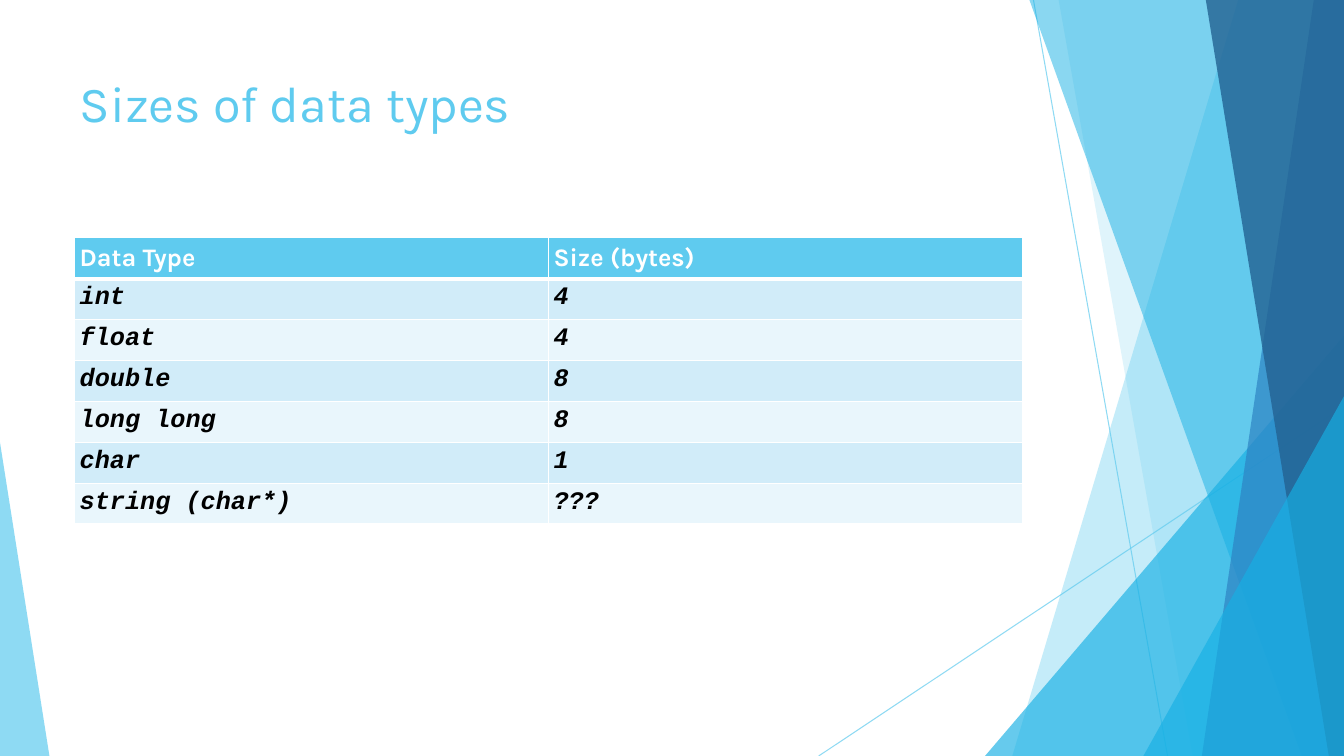
from lxml import etree
from pptx import Presentation
from pptx import util as u
from pptx.dml.color import RGBColor
from pptx.enum import shapes, text
from pptx.oxml import ns

WIDTH, HEIGHT = 13.33, 7.5
SKY, AZURE, BLUE, NAVY, WHITE = "5FCBEF", "17B0E4", "2E83C3", "236292", "FFFFFF"
BANDS = ("D1ECF9", "E9F6FC")
DATA_TYPES = [
    ("Data Type", "Size (bytes)"),
    ("int", "4"),
    ("float", "4"),
    ("double", "8"),
    ("long long", "8"),
    ("char", "1"),
    ("string (char*)", "???"),
]


def rgb(color):
    return RGBColor.from_string(color)


def add_element(parent, tag, **attributes):
    return etree.SubElement(parent, ns.qn(tag), attributes)


def set_opacity(sp, percent):
    """Apply an opacity to the fill or line colour of a shape."""
    color = next(sp._element.spPr.iter(ns.qn("a:srgbClr")))
    add_element(color, "a:alpha", val=str(percent * 1000))


def set_insets(target):
    target.margin_left = target.margin_right = u.Inches(0.05)
    target.margin_top = target.margin_bottom = u.Inches(0.05)


def style_text(tf, size, font, color, bold=False, italic=False):
    for p in tf.paragraphs:
        for r in p.runs:
            r.font.size, r.font.name = u.Pt(size), font
            r.font.bold, r.font.italic = bold, italic
            r.font.color.rgb = rgb(color)


def add_facet(slide, points, color, opacity):
    points = [(u.Inches(x), u.Inches(y)) for x, y in points]
    builder = slide.shapes.build_freeform(*points[0])
    builder.add_line_segments(points[1:], close=True)
    sp = builder.convert_to_shape()
    sp.shadow.inherit = False
    sp.fill.solid()
    sp.fill.fore_color.rgb = rgb(color)
    sp.line.fill.background()
    set_opacity(sp, opacity)


def add_thin_line(slide, start, end):
    ends = [u.Inches(value) for value in (*start, *end)]
    line = slide.shapes.add_connector(shapes.MSO_CONNECTOR.STRAIGHT, *ends)
    line.line.color.rgb = rgb(SKY)
    line.line.width = u.Pt(0.75)
    set_opacity(line, 70)
    add_element(line._element.spPr, "a:effectLst")


def add_backdrop(slide, left, top, width, height):
    """Draw translucent facets along the right edge and one at lower left."""
    right, bottom = left + width, top + height
    add_thin_line(slide, (right - 3.08, top), (right - 1.75, bottom))
    add_thin_line(slide, (right, top + 4.03), (right - 5.21, bottom))

    # Distance from the right edge and top, bottom distance, colour, opacity
    facets = [
        (1.05, 0, 3.29, SKY, 36),
        (2.83, 0, 1.5, SKY, 20),
        (0, 3.33, 3.56, AZURE, 66),
        (3.12, 0, 0.42, AZURE, 50),
        (0.3, 0, 1.41, BLUE, 70),
        (1.37, 0, 0.15, NAVY, 80),
        (0, 3.93, 1.99, AZURE, 66),
    ]
    for inset, drop, foot, color, opacity in facets:
        points = [(right - inset, top + drop), (right, bottom), (right - foot, bottom)]
        if inset:
            points.insert(1, (right, top))
        add_facet(slide, points, color, opacity)

    corner = [(left, bottom), (left, top + 4.39), (left + 0.49, bottom)]
    add_facet(slide, corner, SKY, 70)


def add_title(slide, left, top, width, height):
    box = slide.shapes.add_textbox(*map(u.Inches, (left, top, width, height)))
    tf = box.text_frame
    tf.word_wrap = True
    tf.vertical_anchor = text.MSO_ANCHOR.TOP
    set_insets(tf)
    tf.text = "Sizes of data types"
    style_text(tf, 36, "Karla", SKY)


def set_borders(cell, widths):
    tc_pr = cell._tc.get_or_add_tcPr()
    for side, points in zip("LRTB", widths):
        line = add_element(tc_pr, f"a:ln{side}", w=str(u.Pt(points)))
        fill = add_element(line, "a:solidFill")
        add_element(fill, "a:srgbClr", val=WHITE)


def add_size_table(slide, left, top, width, height):
    frame = slide.shapes.add_table(
        len(DATA_TYPES), len(DATA_TYPES[0]),
        *map(u.Inches, (left, top, width, height)))
    for row, values in enumerate(DATA_TYPES):
        for column, value in enumerate(values):
            cell = frame.table.cell(row, column)
            set_insets(cell)
            set_borders(cell, (1, 1, 3 if row == 1 else 1, 3 if row == 0 else 1))
            cell.fill.solid()
            cell.fill.fore_color.rgb = rgb(BANDS[(row - 1) % 2] if row else SKY)
            cell.text_frame.text = value
            if row:
                style_text(cell.text_frame, 18, "Courier New", "000000", True, True)
            else:
                style_text(cell.text_frame, 18, "Karla", WHITE, True)


def main():
    prs = Presentation()
    prs.slide_width, prs.slide_height = u.Inches(WIDTH), u.Inches(HEIGHT)
    slide = prs.slides.add_slide(prs.slide_layouts[6])
    add_backdrop(slide, 0, 0, WIDTH, HEIGHT)
    add_title(slide, 0.74, 0.67, 9.4, 1.44)
    add_size_table(slide, 0.74, 2.36, 9.4, 2.84)
    prs.save("out.pptx")


if __name__ == "__main__":
    main()
